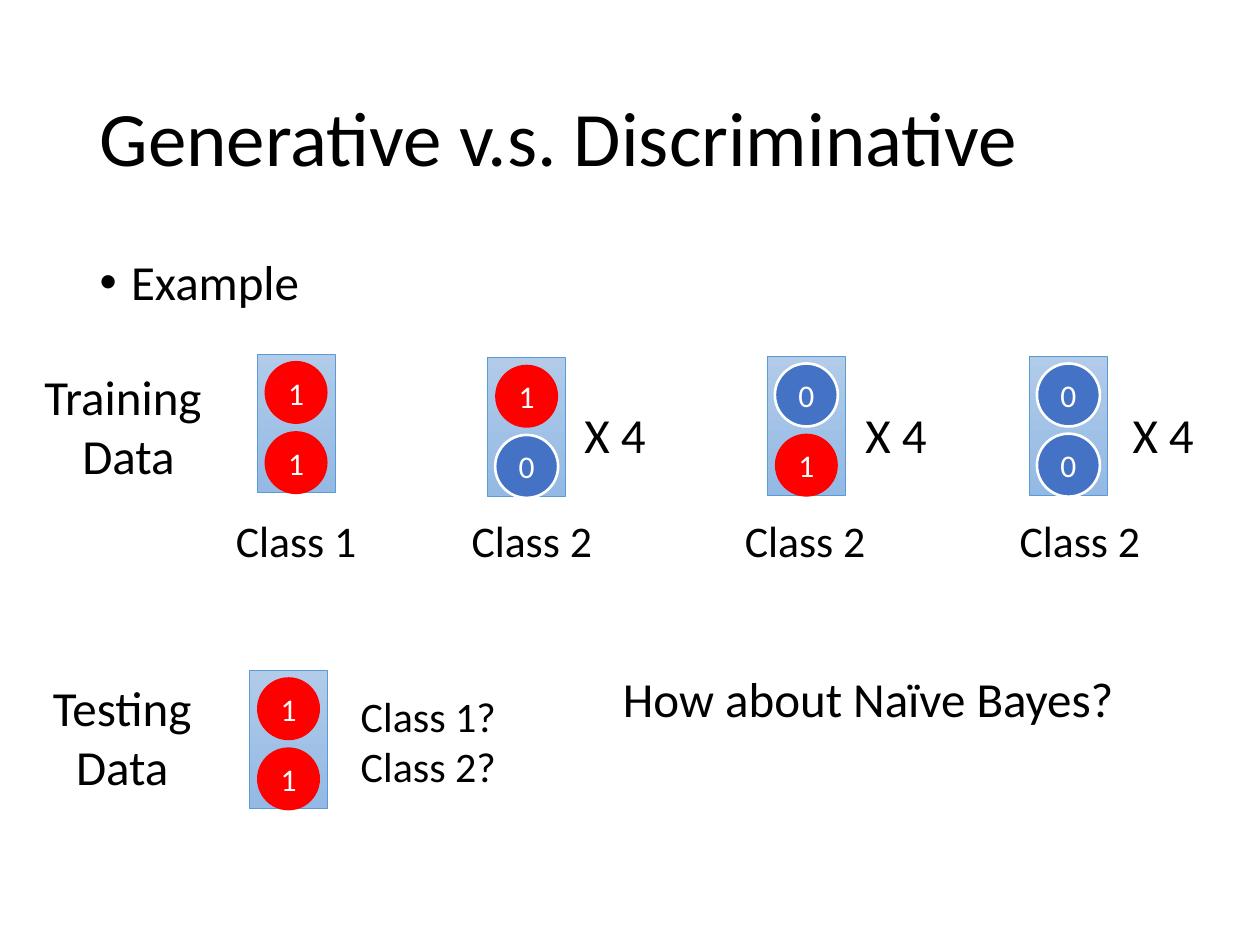
import pptx
import pptx.util
from dataclasses import dataclass
from lxml import etree
from pptx.dml.color import RGBColor
from pptx.enum.shapes import MSO_SHAPE
from pptx.enum.text import MSO_ANCHOR, MSO_AUTO_SIZE, PP_ALIGN
from pptx.oxml.ns import qn


@dataclass(frozen=True)
class Theme:
    font: str = "Calibri"
    text: str = "000000"
    digit: str = "FFFFFF"
    one: str = "FF0000"
    zero: str = "4472C4"
    card_top: str = "B1CBE9"
    card_bottom: str = "93B9E4"
    card_edge: str = "5B9BD5"
    title_size: int = 44
    main_size: int = 28
    class_size: int = 25
    guess_size: int = 24
    digit_size: int = 18


THEME = Theme()
COLUMNS, ROWS = 100, 75
SLIDE_WIDTH, SLIDE_HEIGHT = pptx.util.Inches(10), pptx.util.Inches(7.5)
CARD_WIDTH, CARD_HEIGHT = 6.2, 11
CIRCLE, CIRCLE_INSET, CIRCLE_STEP = 5, 0.55, 5.57

# left column, top row, feature values, left column of the class, class, left column of the count
TRAINING = [
    (20.4, 28.1, "11", 16.0, "Class 1", None),
    (38.7, 28.4, "10", 34.7, "Class 2", 45.4),
    (60.9, 28.3, "01", 56.4, "Class 2", 67.7),
    (81.7, 28.3, "00", 78.2, "Class 2", 88.9),
]


def grid(column, row, columns, rows):
    """Turn grid cells into left, top, width and height."""
    across, down = SLIDE_WIDTH / COLUMNS, SLIDE_HEIGHT / ROWS
    return [round(n) for n in (column * across, row * down, columns * across, rows * down)]


def colour(value):
    return RGBColor.from_string(value)


def apply(target, formats):
    for name, value in formats.items():
        setattr(target, name, value)


def write(frame, lines, size, ink=THEME.text, **paragraph_formats):
    frame.text = "\n".join(lines)
    for paragraph in frame.paragraphs:
        apply(paragraph, paragraph_formats)
        for run in paragraph.runs:
            apply(run.font, {"name": THEME.font, "size": pptx.util.Pt(size)})
            run.font.color.rgb = colour(ink)


def place(placeholder, cells):
    apply(placeholder, dict(zip(("left", "top", "width", "height"), grid(*cells))))


def add_heading(slide):
    title, body = slide.shapes.title, slide.placeholders[1]
    place(title, (6.9, 4, 86.2, 14.5))
    title.text_frame.vertical_anchor = MSO_ANCHOR.MIDDLE
    write(title.text_frame, ["Generative v.s. Discriminative"], THEME.title_size,
          alignment=PP_ALIGN.LEFT, line_spacing=0.9)

    place(body, (6.9, 20, 86.2, 47.6))
    write(body.text_frame, ["Example"], THEME.main_size,
          line_spacing=0.9, space_before=pptx.util.Pt(0))
    properties = body.text_frame.paragraphs[0]._p.get_or_add_pPr()
    indent = pptx.util.Inches(0.25)
    properties.set("marL", str(indent))
    properties.set("indent", str(-indent))
    etree.SubElement(properties, qn("a:buFont")).set("typeface", "Arial")
    etree.SubElement(properties, qn("a:buChar")).set("char", "•")


def add_label(slide, cells, lines, size, alignment=PP_ALIGN.CENTER):
    frame = slide.shapes.add_textbox(*grid(*cells)).text_frame
    apply(frame, {"word_wrap": True, "auto_size": MSO_AUTO_SIZE.SHAPE_TO_FIT_TEXT})
    write(frame, lines, size, alignment=alignment)


def add_feature(slide, column, row, value):
    circle = slide.shapes.add_shape(MSO_SHAPE.OVAL, *grid(column, row, CIRCLE, CIRCLE))
    circle.shadow.inherit = False
    circle.fill.solid()
    if value == "1":
        circle.fill.fore_color.rgb = colour(THEME.one)
        circle.line.fill.background()
    else:
        circle.fill.fore_color.rgb = colour(THEME.zero)
        circle.line.color.rgb = colour(THEME.digit)
        circle.line.width = pptx.util.Pt(1.5)
    circle.text_frame.vertical_anchor = MSO_ANCHOR.MIDDLE
    write(circle.text_frame, [value], THEME.digit_size, THEME.digit, alignment=PP_ALIGN.CENTER)


def add_sample(slide, column, row, values):
    """Draw a card holding one circle per feature value."""
    card = slide.shapes.add_shape(MSO_SHAPE.RECTANGLE, *grid(column, row, CARD_WIDTH, CARD_HEIGHT))
    card.shadow.inherit = False
    card.fill.gradient()
    card.fill.gradient_angle = 270
    for stop, value in zip(card.fill.gradient_stops, (THEME.card_top, THEME.card_bottom)):
        stop.color.rgb = colour(value)
    card.line.color.rgb = colour(THEME.card_edge)
    card.line.width = pptx.util.Pt(0.5)
    for index, value in enumerate(values):
        add_feature(slide, column + (CARD_WIDTH - CIRCLE) / 2,
                    row + CIRCLE_INSET + index * CIRCLE_STEP, value)


def main():
    deck = pptx.Presentation()
    apply(deck, {"slide_width": SLIDE_WIDTH, "slide_height": SLIDE_HEIGHT})
    slide = deck.slides.add_slide(deck.slide_layouts[1])
    add_heading(slide)

    add_label(slide, (2.2, 28.6, 16, 10.4), ["Training ", "Data"], THEME.main_size)
    for column, row, values, class_column, class_name, count_column in TRAINING:
        add_sample(slide, column, row, values)
        add_label(slide, (class_column, 40.3, 15, 5.2), [class_name], THEME.class_size)
        if count_column:
            add_label(slide, (count_column, 31.6, 7.5, 5.7), ["X 4"], THEME.main_size,
                      PP_ALIGN.LEFT)

    add_label(slide, (1.7, 53.3, 16, 10.4), ["Testing", "Data"], THEME.main_size)
    add_sample(slide, 19.8, 53.2, "11")
    add_label(slide, (26.5, 54.3, 15, 9.4), ["Class 1?", "Class 2?"], THEME.guess_size)
    add_label(slide, (48.4, 52.6, 41, 5.7), ["How about Naïve Bayes?"], THEME.main_size)
    deck.save("out.pptx")


if __name__ == "__main__":
    main()
